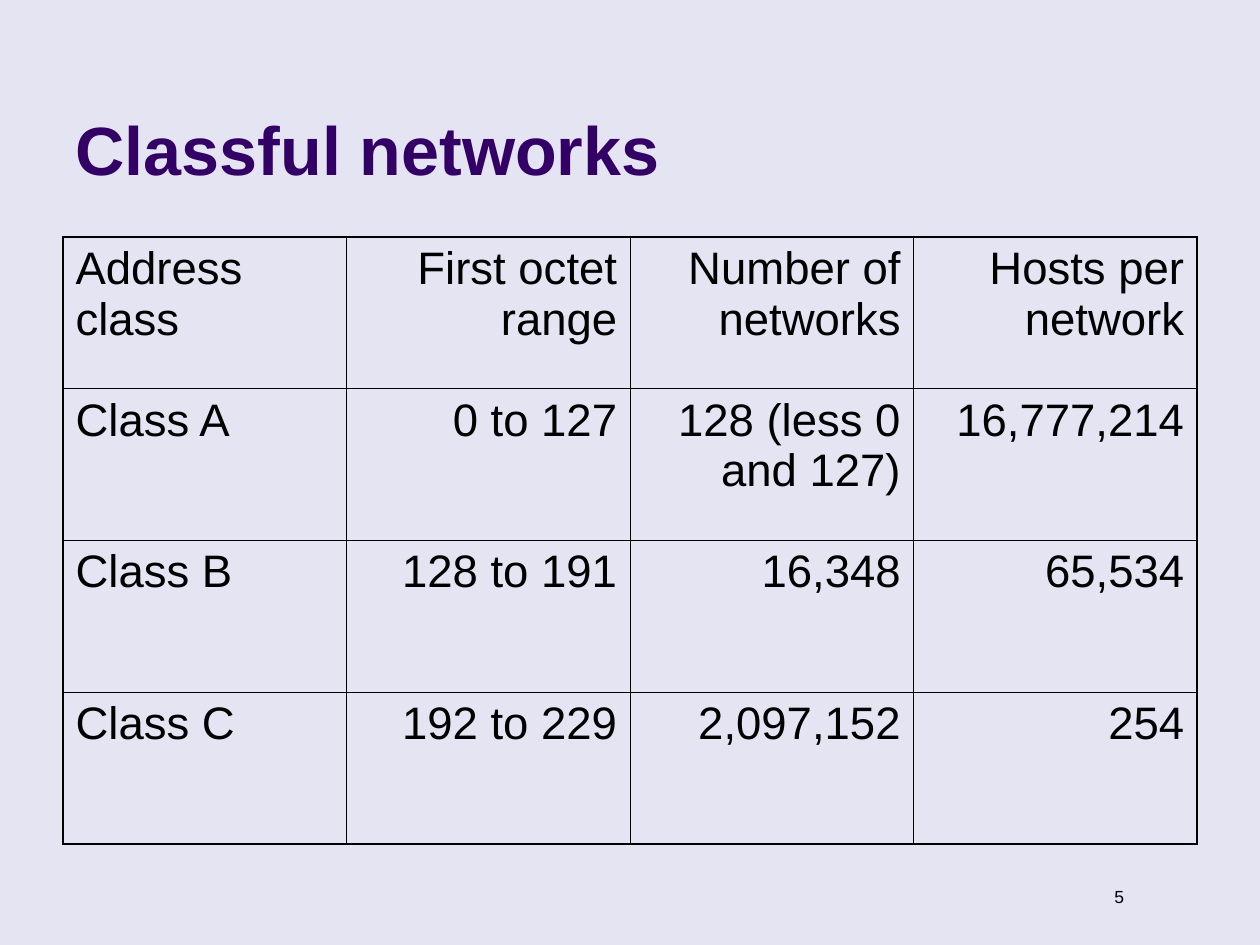
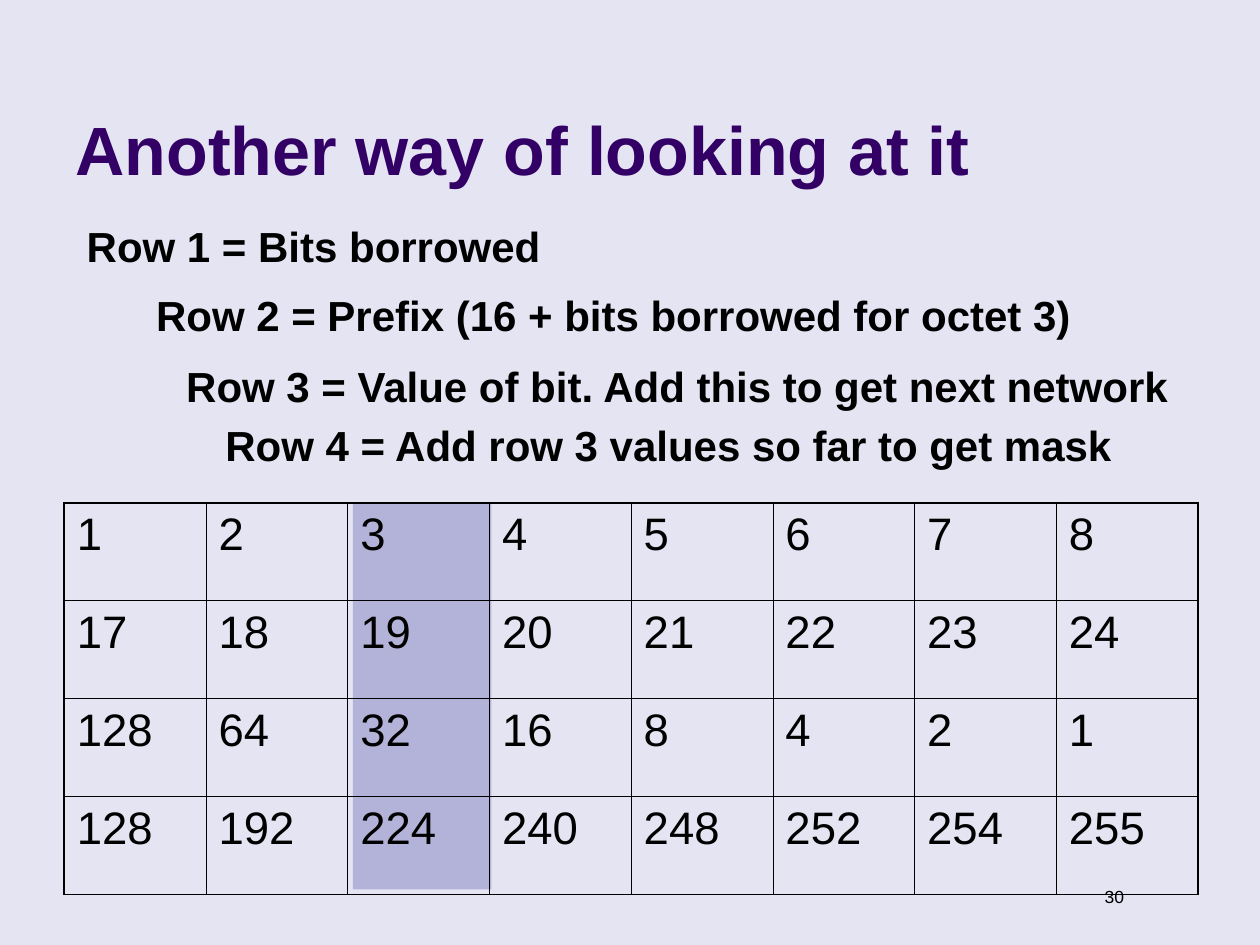
from lxml import etree
from pptx import Presentation
from pptx.dml.color import RGBColor
from pptx.enum.shapes import MSO_SHAPE
from pptx.enum.text import MSO_ANCHOR, MSO_AUTO_SIZE, PP_ALIGN
from pptx.oxml.ns import qn
from pptx.util import Inches, Pt

LEFT, RIGHT = PP_ALIGN.LEFT, PP_ALIGN.RIGHT
BOTTOM = MSO_ANCHOR.BOTTOM
FIXED, GROW = MSO_AUTO_SIZE.NONE, MSO_AUTO_SIZE.SHAPE_TO_FIT_TEXT
RECTANGLE = MSO_SHAPE.RECTANGLE
TITLE_ONLY = 5

FONT = "Arial"
BACKGROUND = "E4E4F2"
TITLE_COLOUR = "330066"
TEXT_COLOUR = "000000"
HIGHLIGHT = "B3B3D9"
THIN, THICK = 0.45, 1.08


def colour(hex_text):
    return RGBColor.from_string(hex_text)


class Deck:
    def __init__(self):
        self.prs = Presentation()
        self.prs.slide_width = Inches(10)
        self.prs.slide_height = Inches(7.5)
        fill = self.prs.slide_master.background.fill
        fill.solid()
        fill.fore_color.rgb = colour(BACKGROUND)
        self.slide = None

    def add_words(self, frame, text, size, bold=False, align=LEFT, before=0, ink=TEXT_COLOUR):
        frame.word_wrap = True
        paragraph = frame.paragraphs[0]
        paragraph.alignment = align
        paragraph.space_before = Pt(before)
        run = paragraph.add_run()
        run.text = text
        run.font.name = FONT
        run.font.size = Pt(size)
        run.font.bold = bold
        run.font.color.rgb = colour(ink)

    def new_slide(self, title, number):
        self.slide = self.prs.slides.add_slide(self.prs.slide_layouts[TITLE_ONLY])
        heading = self.slide.shapes.title
        heading.left, heading.top = Inches(0.5), Inches(0.13)
        heading.width, heading.height = Inches(8.25), Inches(1.42)
        frame = heading.text_frame
        frame.auto_size = FIXED
        frame.vertical_anchor = BOTTOM
        self.add_words(frame, title, 39, bold=True, ink=TITLE_COLOUR)
        self.text(number, 8.39, 6.98, 0.63, 0.27, 10, align=RIGHT, before=6.2)

    def text(self, text, left, top, width, height, size, **style):
        box = self.slide.shapes.add_textbox(
            Inches(left), Inches(top), Inches(width), Inches(height))
        self.add_words(box.text_frame, text, size, **style)
        box.text_frame.auto_size = GROW

    def band(self, left, top, width, height):
        band = self.slide.shapes.add_shape(
            RECTANGLE, Inches(left), Inches(top), Inches(width), Inches(height))
        band.shadow.inherit = False
        band.fill.solid()
        band.fill.fore_color.rgb = colour(HIGHLIGHT)
        band.line.fill.background()

    def border(self, cell, side, width):
        properties = cell._tc.get_or_add_tcPr()
        line = etree.SubElement(properties, qn(f"a:ln{side}"), w=str(Pt(width)))
        fill = etree.SubElement(line, qn("a:solidFill"))
        etree.SubElement(fill, qn("a:srgbClr"), val=TEXT_COLOUR)

    def table(self, rows, left, top, width, height, number_align=LEFT):
        last_row, last_column = len(rows) - 1, len(rows[0]) - 1
        grid = self.slide.shapes.add_table(
            len(rows), len(rows[0]), Inches(left), Inches(top),
            Inches(width), Inches(height)).table
        grid.first_row = grid.horz_banding = False
        for column in grid.columns:
            column.width = Inches(width / len(rows[0]))
        for row in grid.rows:
            row.height = Inches(height / len(rows))
        for r, values in enumerate(rows):
            for c, value in enumerate(values):
                cell = grid.cell(r, c)
                outer = {"L": c == 0, "R": c == last_column,
                         "T": r == 0, "B": r == last_row}
                for side, is_outer in outer.items():
                    self.border(cell, side, THICK if is_outer else THIN)
                cell.fill.background()
                self.add_words(cell.text_frame, value, 26, before=6.5,
                               align=number_align if c else LEFT)


def classful_networks(deck):
    deck.new_slide("Classful networks", "5")
    deck.table([
        ["Address class", "First octet range", "Number of networks", "Hosts per network"],
        ["Class A", "0 to 127", "128 (less 0 and 127)", "16,777,214"],
        ["Class B", "128 to 191", "16,348", "65,534"],
        ["Class C", "192 to 229", "2,097,152", "254"],
    ], 0.5, 1.88, 9, 4.82, number_align=RIGHT)


def subnet_bits(deck):
    deck.new_slide("Another way of looking at it", "30")
    deck.band(2.8, 3.99, 1.1, 3.07)
    borrowed = range(1, 9)
    bit_values = [2 ** (8 - bits) for bits in borrowed]
    masks = [sum(bit_values[:bits]) for bits in borrowed]
    prefixes = [16 + bits for bits in borrowed]
    rows = [borrowed, prefixes, bit_values, masks]
    deck.table([[str(value) for value in row] for row in rows], 0.51, 3.99, 9, 3.11)
    row_meanings = [
        ("Row 1 = Bits borrowed", 0.59, 1.7, 5.04),
        ("Row 2 = Prefix (16 + bits borrowed for octet 3)", 1.14, 2.25, 7.95),
        ("Row 3 = Value of bit. Add this to get next network", 1.38, 2.81, 8.27),
        ("Row 4 = Add row 3 values so far to get mask", 1.69, 3.28, 7.52),
    ]
    for meaning, left, top, width in row_meanings:
        deck.text(meaning, left, top, width, 0.5, 24, bold=True, before=15)


def main():
    deck = Deck()
    classful_networks(deck)
    subnet_bits(deck)
    deck.prs.save("out.pptx")


if __name__ == "__main__":
    main()
